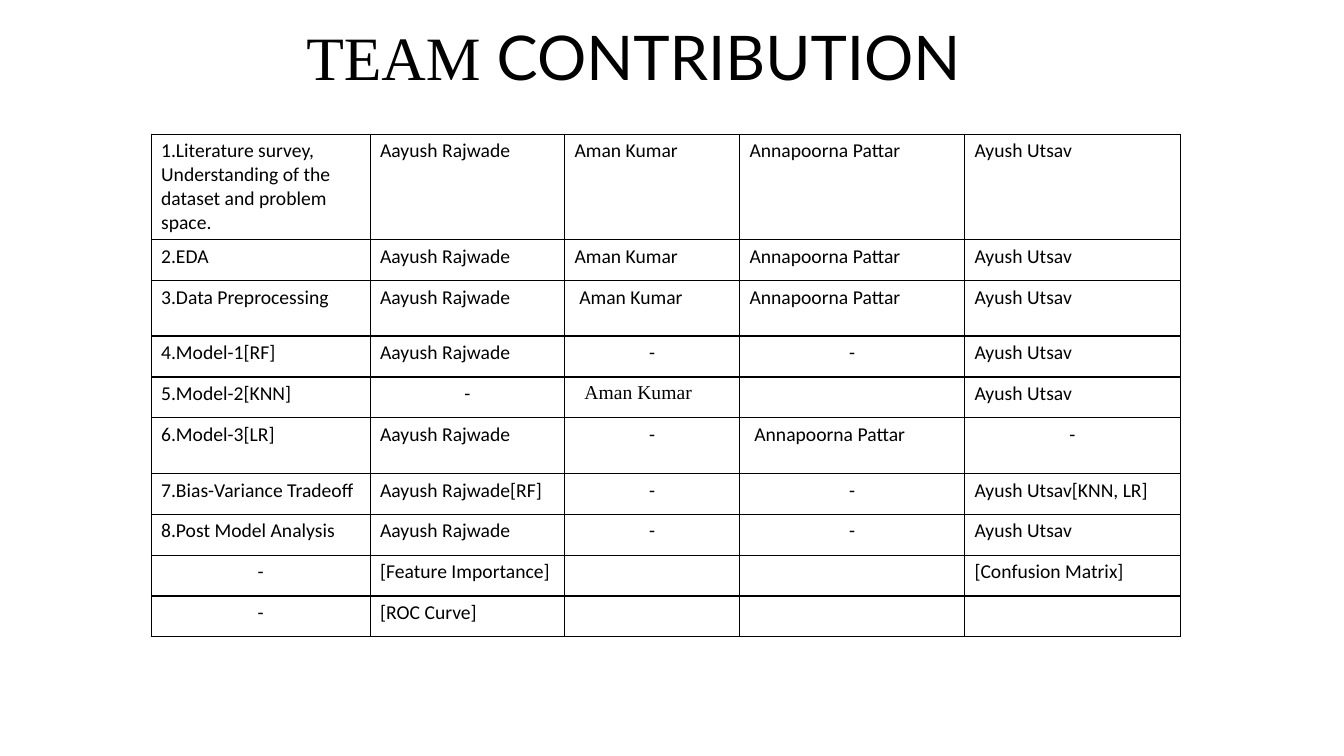
from pptx import Presentation
from pptx.dml.color import RGBColor
from pptx.enum.text import MSO_ANCHOR, MSO_AUTO_SIZE, PP_ALIGN
from pptx.oxml.ns import qn
from pptx.util import Cm, Pt
from lxml import etree

LEFT, CENTER = PP_ALIGN.LEFT, PP_ALIGN.CENTER
MIDDLE = MSO_ANCHOR.MIDDLE
NO_AUTOFIT = MSO_AUTO_SIZE.NONE
TITLE_ONLY = 5

COLORS = {"ink": "000000", "paper": "FFFFFF"}
SERIF, BODY_FONT, TITLE_FONT = "Times New Roman", "Calibri", "Lato"
CELL_MARGIN = 0.25

COLUMN_WIDTHS = [5.52, 4.9, 4.41, 5.67, 5.44]
ROW_HEIGHT = 1.03
TALL_ROWS = {0: 2.66, 2: 1.4, 5: 1.4}

AAYUSH, AMAN, ANNAPOORNA, AYUSH = (
    "Aayush Rajwade", "Aman Kumar", "Annapoorna Pattar", "Ayush Utsav")
EVERYONE = [AAYUSH, AMAN, ANNAPOORNA, AYUSH]
CONTRIBUTIONS = [
    ["1.Literature survey, Understanding of the dataset and problem space.", *EVERYONE],
    ["2.EDA", *EVERYONE],
    ["3.Data Preprocessing", *EVERYONE],
    ["4.Model-1[RF]", AAYUSH, "-", "-", AYUSH],
    ["5.Model-2[KNN]", "-", AMAN, "", AYUSH],
    ["6.Model-3[LR]", AAYUSH, "-", ANNAPOORNA, "-"],
    ["7.Bias-Variance Tradeoff", AAYUSH + "[RF]", "-", "-", AYUSH + "[KNN, LR]"],
    ["8.Post Model Analysis", AAYUSH, "-", "-", AYUSH],
    ["-", "[Feature Importance]", "", "", "[Confusion Matrix]"],
    ["-", "[ROC Curve]", "", "", ""],
]
# (row, column): font and extra left margin in cm
CELL_EXCEPTIONS = {
    (2, 2): (BODY_FONT, 0.12),
    (4, 2): (SERIF, 0.25),
    (5, 3): (BODY_FONT, 0.12),
}


class SlideBuilder:
    def __init__(self, deck):
        self.page = deck.slides.add_slide(deck.slide_layouts[TITLE_ONLY])
        self.ink = RGBColor.from_string(COLORS["ink"])
        self.page.background.fill.solid()
        self.page.background.fill.fore_color.rgb = RGBColor.from_string(COLORS["paper"])

    def span(self, para, text, font, size):
        span = para.add_run()
        span.text = text
        for name, value in {"name": font, "size": Pt(size), "bold": False}.items():
            setattr(span.font, name, value)
        span.font.color.rgb = self.ink

    def title(self, spans, left, top, width, height):
        box = self.page.shapes.title
        place = {"left": left, "top": top, "width": width, "height": height}
        for name, value in place.items():
            setattr(box, name, Cm(value))
        frame = box.text_frame
        layout = {"word_wrap": True, "auto_size": NO_AUTOFIT, "vertical_anchor": MIDDLE}
        for name, value in layout.items():
            setattr(frame, name, value)
        para = frame.paragraphs[0]
        para.alignment = CENTER
        para.line_spacing = 0.9
        for text, font in spans:
            self.span(para, text, font, 44)

    def borders(self, cell):
        properties = cell._tc.get_or_add_tcPr()
        for side in ("a:lnL", "a:lnR", "a:lnT", "a:lnB"):
            line = etree.SubElement(properties, qn(side), w=str(Pt(1)))
            fill = etree.SubElement(line, qn("a:solidFill"))
            etree.SubElement(fill, qn("a:srgbClr"), val=COLORS["ink"])

    def cell(self, cell, text, font, indent):
        self.borders(cell)
        cell.fill.background()
        cell.margin_left = Cm(CELL_MARGIN + indent)
        if text:
            para = cell.text_frame.paragraphs[0]
            para.alignment = CENTER if text == "-" else LEFT
            self.span(para, text, font, 14)

    def table(self, rows, left, top):
        heights = [TALL_ROWS.get(index, ROW_HEIGHT) for index in range(len(rows))]
        table = self.page.shapes.add_table(
            len(rows), len(COLUMN_WIDTHS), Cm(left), Cm(top),
            Cm(sum(COLUMN_WIDTHS)), Cm(sum(heights))).table
        table.first_row = table.horz_banding = False
        for column, width in zip(table.columns, COLUMN_WIDTHS):
            column.width = Cm(width)
        for r, (texts, height) in enumerate(zip(rows, heights)):
            table.rows[r].height = Cm(height)
            for c, text in enumerate(texts):
                font, indent = CELL_EXCEPTIONS.get((r, c), (BODY_FONT, 0))
                self.cell(table.cell(r, c), text, font, indent)


def main():
    deck = Presentation()
    deck.slide_width, deck.slide_height = Cm(33.87), Cm(19.05)
    builder = SlideBuilder(deck)
    builder.title([("TEAM", SERIF), (" CONTRIBUTION", TITLE_FONT)], 1.9, 0.28, 28.14, 2.51)
    builder.table(CONTRIBUTIONS, 3.81, 3.38)
    deck.save("out.pptx")


if __name__ == "__main__":
    main()
